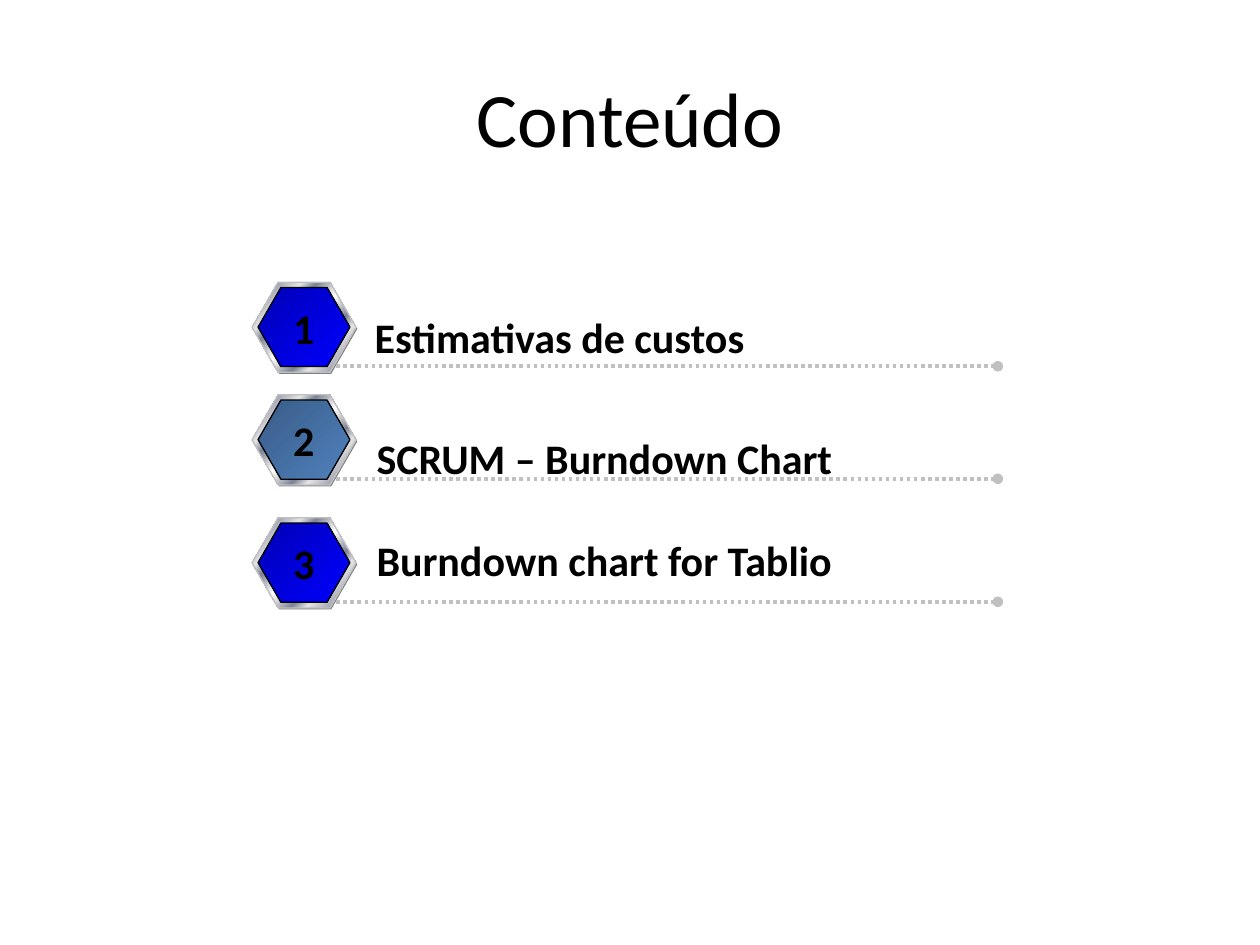
"""Build a contents slide with three numbered hexagon entries."""
import dataclasses

import lxml.etree
import pptx
import pptx.dml.color
import pptx.enum.dml
import pptx.enum.shapes
import pptx.enum.text
import pptx.oxml.ns
import pptx.util

Pt = pptx.util.Pt
COLORS = {
    "text": "000000",
    "outline": "000000",
    "silver": "C0C0C0",
    "shade": "808080",
    "light": "E6E6E6",
    "steel": "7D8496",
    "shine": "FFFFFF",
    "navy": "0000B6",
    "blue": "0000FF",
    "slate": "395C87",
    "sky": "4F81BD",
}
TITLE_FORMAT = {"name": "Calibri", "size": Pt(44), "bold": False}
ENTRY_FORMAT = {"name": "Calibri", "size": Pt(24), "bold": True}
METAL = [(0, "light"), (8, "steel"), (26, "light"), (34, "steel"), (46, "light"), (50, "shine"),
         (54, "light"), (66, "steel"), (74, "light"), (93, "steel"), (100, "light")]
BLUE = [(0, "navy"), (100, "blue")]
SLATE = [(0, "slate"), (100, "sky")]
RIM_LEFT = 144
RIM_SIZE = (59.5, 51.5)
CORE_SIZE = (52.5, 45.2)


@dataclasses.dataclass
class Entry:
    """One line of the contents list."""
    number: str
    label: str
    top: float
    label_left: float
    label_top: float
    label_width: float
    stops: list


ENTRIES = [
    Entry("1", "Estimativas de custos", 161.3, 207, 174.5, 228.2, BLUE),
    Entry("2", "SCRUM – Burndown Chart", 225.6, 208.1, 243.4, 277.9, SLATE),
    Entry("3", "Burndown chart for Tablio", 295.9, 208.1, 301.7, 280, BLUE),
]


def rgb(name: str) -> pptx.dml.color.RGBColor:
    """Return the named colour."""
    return pptx.dml.color.RGBColor.from_string(COLORS[name])


def write_text(frame, text: str, formats: dict, align) -> None:
    """Put one formatted run into a text frame."""
    para = frame.paragraphs[0]
    para.alignment = align
    span = para.add_run()
    span.text = text
    for key, value in formats.items():
        setattr(span.font, key, value)
    span.font.color.rgb = rgb("text")


def add_label(page, text: str, left: float, top: float, width: float, align) -> None:
    """Add an unwrapped bold text box."""
    box = page.shapes.add_textbox(Pt(left), Pt(top), Pt(width), Pt(36))
    box.text_frame.word_wrap = False
    box.text_frame.auto_size = pptx.enum.text.MSO_AUTO_SIZE.SHAPE_TO_FIT_TEXT
    write_text(box.text_frame, text, ENTRY_FORMAT, align)


def fill_gradient(shape, stops: list) -> None:
    """Fill a shape with a diagonal gradient."""
    shape.fill.gradient()
    shape.fill.gradient_angle = 315
    name = pptx.oxml.ns.qn
    stop_list = shape.element.spPr.find(".//" + name("a:gsLst"))
    for stop in list(stop_list):
        stop_list.remove(stop)
    for percent, color in stops:
        stop = lxml.etree.SubElement(stop_list, name("a:gs"), pos=str(percent * 1000))
        lxml.etree.SubElement(stop, name("a:srgbClr"), val=COLORS[color])


def add_hexagon(group, left: float, top: float, size: tuple):
    """Add one unfilled hexagon to a group."""
    hexagon = group.shapes.add_shape(
        pptx.enum.shapes.MSO_SHAPE.HEXAGON, Pt(left), Pt(top), Pt(size[0]), Pt(size[1]))
    hexagon.adjustments[0] = 0.289
    hexagon.shadow.inherit = False
    return hexagon


def add_badge(page, entry: Entry) -> None:
    """Add the shaded, rimmed hexagon of an entry."""
    group = page.shapes.add_group_shape()
    shade = add_hexagon(group, RIM_LEFT + 0.7, entry.top + 0.8, RIM_SIZE)
    shade.fill.solid()
    shade.fill.fore_color.rgb = rgb("shade")
    shade.line.fill.background()
    layers = [(0, 0, RIM_SIZE, METAL, "silver"), (3.5, 3, CORE_SIZE, entry.stops, "outline")]
    for across, down, size, stops, outline in layers:
        hexagon = add_hexagon(group, RIM_LEFT + across, entry.top + down, size)
        fill_gradient(hexagon, stops)
        hexagon.line.color.rgb = rgb(outline)
        hexagon.line.width = Pt(0.75)


def add_rule(page, top: float) -> None:
    """Add a dotted line that ends in a dot."""
    rule = page.shapes.add_connector(
        pptx.enum.shapes.MSO_CONNECTOR.STRAIGHT, Pt(192.2), Pt(top), Pt(570.2), Pt(top))
    rule.line.color.rgb = rgb("silver")
    rule.line.width = Pt(2)
    rule.line.dash_style = pptx.enum.dml.MSO_LINE.ROUND_DOT
    name = pptx.oxml.ns.qn
    properties = rule.element.spPr
    lxml.etree.SubElement(properties.find(name("a:ln")), name("a:tailEnd"), type="oval")
    lxml.etree.SubElement(properties, name("a:effectLst"))


def main() -> None:
    """Build and save the deck."""
    deck = pptx.Presentation()
    deck.slide_width, deck.slide_height = Pt(720), Pt(540)
    page = deck.slides.add_slide(deck.slide_layouts[5])
    title = page.shapes.title
    place = {"left": Pt(36), "top": Pt(21.6), "width": Pt(648), "height": Pt(90)}
    for key, value in place.items():
        setattr(title, key, value)
    title.text_frame.vertical_anchor = pptx.enum.text.MSO_ANCHOR.MIDDLE
    align = pptx.enum.text.PP_ALIGN
    write_text(title.text_frame, "Conteúdo", TITLE_FORMAT, align.CENTER)
    for entry in ENTRIES:
        add_badge(page, entry)
        add_rule(page, entry.top + 48)
        add_label(page, entry.number, 159.5, entry.top + 7.9, 28.1, align.CENTER)
        add_label(page, entry.label, entry.label_left, entry.label_top,
                  entry.label_width, align.LEFT)
    deck.save("out.pptx")


if __name__ == "__main__":
    main()
